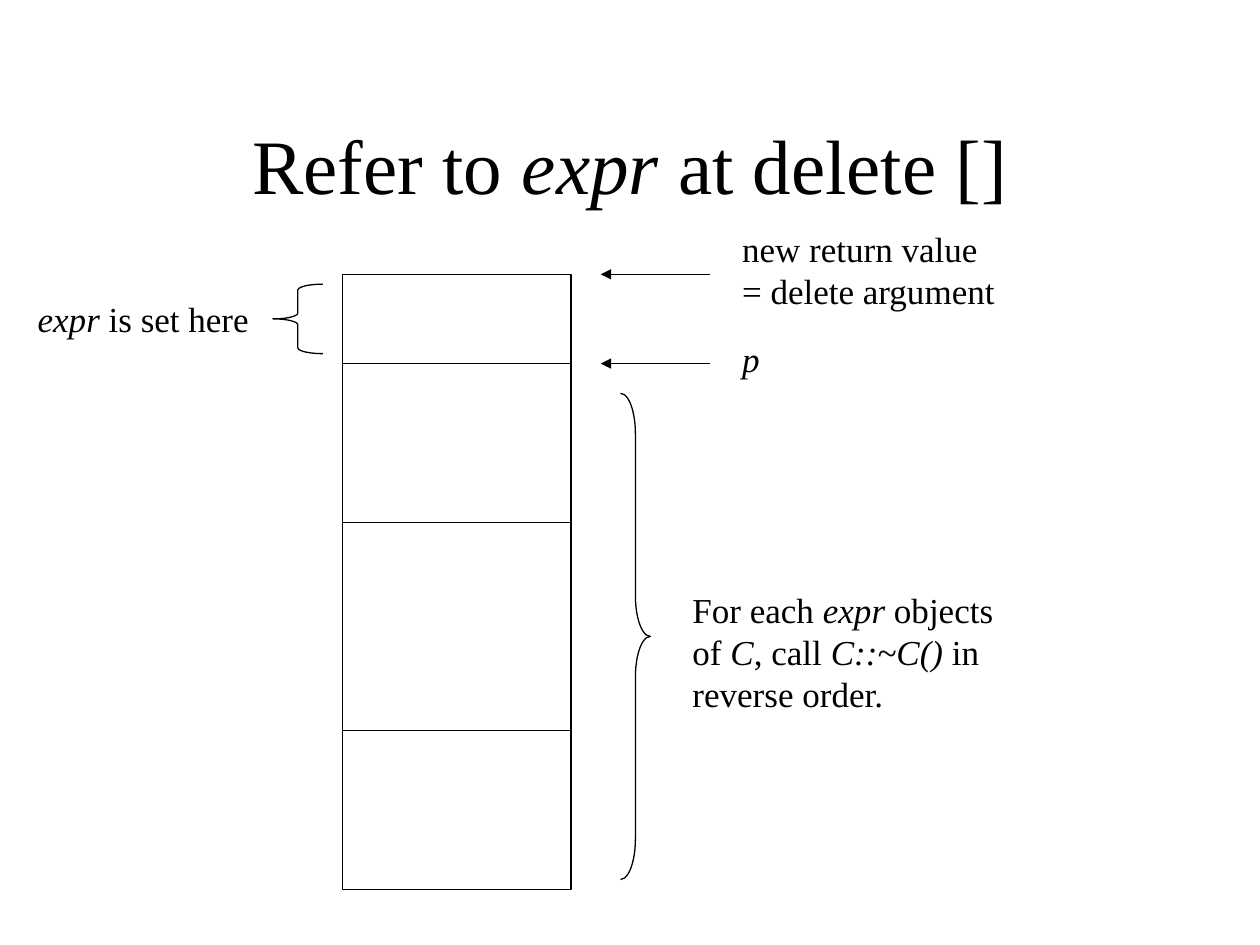
from lxml import etree
from pptx import Presentation
from pptx.dml.color import RGBColor
from pptx.enum.shapes import MSO_CONNECTOR, MSO_SHAPE
from pptx.enum.text import MSO_ANCHOR, PP_ALIGN
from pptx.oxml.ns import qn
from pptx.util import Cm, Pt

BLACK = RGBColor(0, 0, 0)
FONT = "Times New Roman"
LINE_WIDTH = Pt(0.74)
TITLE_ONLY = 5
RECTANGLE = MSO_SHAPE.RECTANGLE
LEFT_BRACE, RIGHT_BRACE = MSO_SHAPE.LEFT_BRACE, MSO_SHAPE.RIGHT_BRACE
STRAIGHT = MSO_CONNECTOR.STRAIGHT
MIDDLE = MSO_ANCHOR.MIDDLE
LEFT, CENTER = PP_ALIGN.LEFT, PP_ALIGN.CENTER

FRAME_FORMAT = {
    "word_wrap": True,
    "vertical_anchor": MIDDLE,
    "margin_left": Cm(0.25),
    "margin_right": Cm(0.25),
    "margin_top": Cm(0.13),
    "margin_bottom": Cm(0.13),
}


def apply_format(target, values):
    """Set every attribute named in values on target."""
    for name, value in values.items():
        setattr(target, name, value)


def write(frame, pieces, size, align=LEFT, spacing=None):
    """Fill a text frame with pieces that alternate upright and italic."""
    apply_format(frame, FRAME_FORMAT)
    paragraph = frame.paragraphs[0]
    apply_format(paragraph, {"alignment": align, "line_spacing": spacing})
    for index, piece in enumerate(pieces):
        for row, words in enumerate(piece.split("\n")):
            if row:
                paragraph.add_line_break()
            if words:
                run = paragraph.add_run()
                run.text = words
                apply_format(run.font, {"name": FONT, "size": Pt(size),
                                        "italic": index % 2 == 1})
                run.font.color.rgb = BLACK


def add_title(slide, box, pieces):
    """Place the slide title in its placeholder."""
    title = slide.shapes.title
    apply_format(title, dict(zip(("left", "top", "width", "height"), map(Cm, box))))
    write(title.text_frame, pieces, 44, CENTER)


def add_note(slide, box, pieces):
    """Add an explanatory note in the given box."""
    note = slide.shapes.add_textbox(*map(Cm, box))
    write(note.text_frame, pieces, 20, spacing=Pt(24))


def add_outline(slide, kind, box):
    """Add an unfilled black outline of a preset kind."""
    outline = slide.shapes.add_shape(kind, *map(Cm, box))
    outline.shadow.inherit = False
    outline.fill.background()
    outline.line.color.rgb = BLACK
    outline.line.width = LINE_WIDTH
    return outline


def add_brace(slide, kind, box):
    """Add a brace whose curls are each a twelfth of its height."""
    brace = add_outline(slide, kind, box)
    width, height = box[2:]
    brace.adjustments[0] = height / 12 / min(width, height)


def add_memory_block(slide, left, top, width, cell_heights):
    """Stack the memory cells downwards from the top."""
    for height in cell_heights:
        add_outline(slide, RECTANGLE, (left, top, width, height))
        top += height


def add_pointer(slide, left, top, width):
    """Add an arrow pointing left at an address in the block."""
    pointer = slide.shapes.add_connector(
        STRAIGHT, Cm(left + width), Cm(top), Cm(left), Cm(top))
    pointer.line.color.rgb = BLACK
    pointer.line.width = LINE_WIDTH
    etree.SubElement(pointer.line._get_or_add_ln(), qn("a:tailEnd"), type="triangle")
    etree.SubElement(pointer._element.spPr, qn("a:effectLst"))


def add_delete_diagram(slide, left, top):
    """Draw the block, its pointers and notes from the block's top left corner."""
    width, cell_heights = 4.6, (1.8, 3.2, 4.2, 3.2)
    count_height = cell_heights[0]
    right = left + width
    add_memory_block(slide, left, top, width, cell_heights)
    for address in (top, top + count_height):
        add_pointer(slide, right + 0.6, address, 2.2)
    add_brace(slide, LEFT_BRACE, (left - 1.41, top + 0.2, 1.01, count_height - 0.4))
    add_brace(slide, RIGHT_BRACE, (right + 1, top + count_height + 0.6,
                                   0.6, sum(cell_heights[1:]) - 0.8))
    add_note(slide, (right + 3.2, top - 0.8, 8, 1.4),
             ["new return value\n= delete argument"])
    add_note(slide, (right + 3.2, top + 1.2, 1.4, 1), ["", "p"])
    add_note(slide, (left - 6.4, top - 0.2, 5.6, 2.2), ["", "expr", " is set here"])
    add_note(slide, (right + 2.2, top + 5.6, 7.2, 4),
             ["For each ", "expr", " objects\nof ", "C", ", call ",
              "C::~C()", " in reverse order."])


def main():
    """Build and save the slide."""
    deck = Presentation()
    deck.slide_width, deck.slide_height = Cm(25.4), Cm(19.05)
    slide = deck.slides.add_slide(deck.slide_layouts[TITLE_ONLY])
    add_title(slide, (1.9, 1.7, 21.6, 3.18), ["Refer to ", "expr", " at delete []"])
    add_delete_diagram(slide, 6.91, 5.53)
    deck.save("out.pptx")


main()
